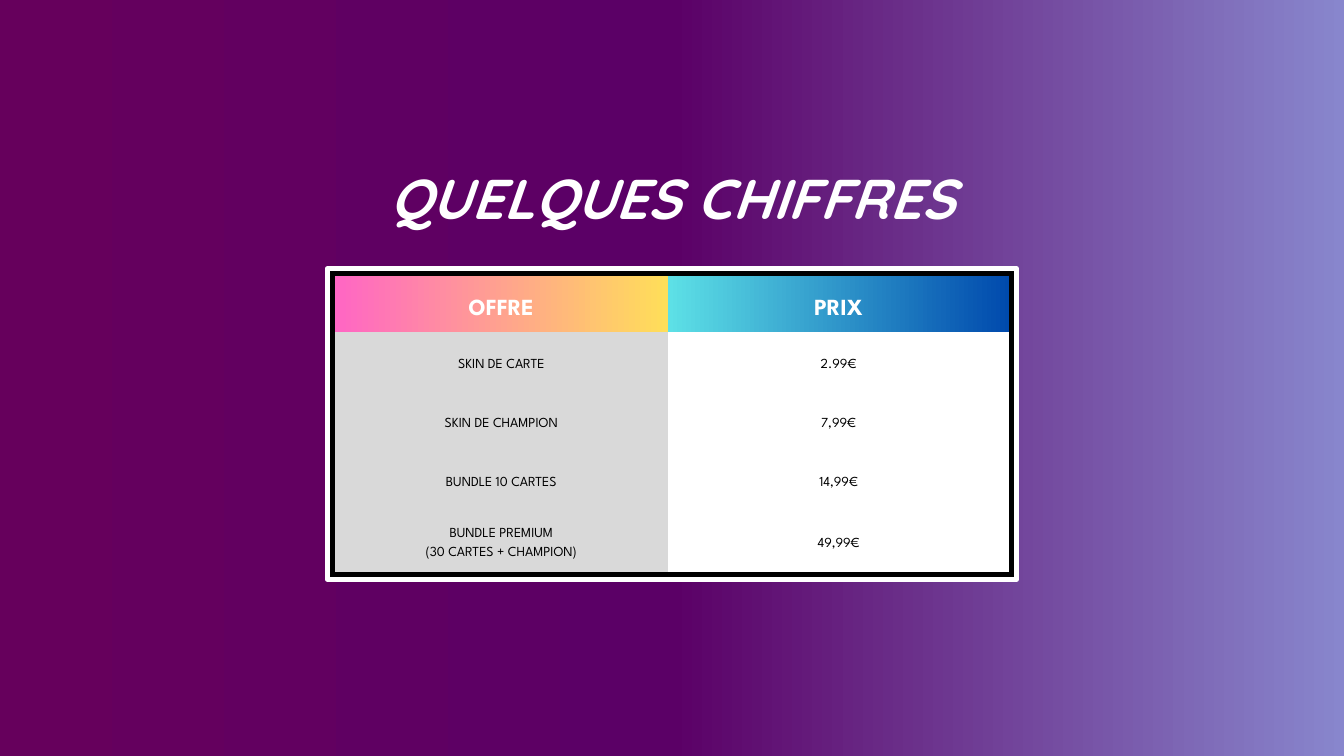
import copy

import pptx
import pptx.dml.color
import pptx.enum.shapes
import pptx.enum.text
import pptx.oxml.ns
import pptx.util

Pt = pptx.util.Pt
CENTER = pptx.enum.text.PP_ALIGN.CENTER

TITLE = "QUELQUES CHIFFRES"
HEADINGS = ("OFFRE", "PRIX")
OFFERS = [
    ("SKIN DE CARTE", "2.99€"),
    ("SKIN DE CHAMPION", "7,99€"),
    ("BUNDLE 10 CARTES", "14,99€"),
    ("BUNDLE PREMIUM\n(30 CARTES + CHAMPION)", "49,99€"),
]

COLORS = {
    "plum": "66005C", "purple": "5B0066", "lavender": "8886CD",
    "pink": "FF66C4", "yellow": "FFDE59", "aqua": "5DE0E6", "blue": "004AAD",
    "grey": "D9D9D9", "white": "FFFFFF", "black": "000000",
}
BACKGROUND = ("plum", "purple", "lavender")
HEADING_FILLS = (("pink", "yellow"), ("aqua", "blue"))
OFFER_FILLS = ("grey", "white")

SLIDE_WIDTH, SLIDE_HEIGHT = 1440, 810
COLUMN_WIDTHS = (357.12, 365.76)
ROW_HEIGHTS = (59.76, 63.36, 63.36, 63.36, 66.96)
TABLE_TOP = 295.92
FRAME_MARGIN = 7.92
CELL_INSET = 10.8


def rgb(name):
    return pptx.dml.color.RGBColor.from_string(COLORS[name])


def fill_gradient(fill, owner, names):
    """Left-to-right gradient with evenly spaced colours; owner is the XML parent."""
    fill.gradient()
    fill.gradient_angle = 0
    stop_list = owner.xpath(".//a:gsLst")[0]
    for _ in names[2:]:
        stop_list.append(copy.deepcopy(stop_list[-1]))
    for index, (stop, name) in enumerate(zip(fill.gradient_stops, names)):
        stop.position = index / (len(names) - 1)
        stop.color.rgb = rgb(name)


def write(text_frame, text, family, size, spacing, color, bold=False, italic=False):
    text_frame.text = text
    text_frame.word_wrap = True
    for paragraph in text_frame.paragraphs:
        paragraph.alignment = CENTER
        paragraph.line_spacing = Pt(spacing)
        font = paragraph.font
        font.name, font.size = family, Pt(size)
        font.bold, font.italic = bold, italic
        font.color.rgb = rgb(color)


def remove_borders(cell):
    properties = cell._tc.get_or_add_tcPr()
    for index, side in enumerate(("a:lnL", "a:lnR", "a:lnT", "a:lnB")):
        border = properties.makeelement(pptx.oxml.ns.qn(side), {"w": "0"})
        border.append(border.makeelement(pptx.oxml.ns.qn("a:noFill"), {}))
        properties.insert(index, border)


def add_frame(slide, left, top, width, height):
    frame = slide.shapes.add_shape(
        pptx.enum.shapes.MSO_SHAPE.RECTANGLE,
        Pt(left - FRAME_MARGIN), Pt(top - FRAME_MARGIN),
        Pt(width + 2 * FRAME_MARGIN), Pt(height + 2 * FRAME_MARGIN))
    frame.shadow.inherit = False
    frame.fill.solid()
    frame.fill.fore_color.rgb = rgb("black")
    frame.line.color.rgb = rgb("white")
    frame.line.width = Pt(5.25)


def add_price_table(slide, left, top, width, height):
    rows = [HEADINGS, *OFFERS]
    prices = slide.shapes.add_table(
        len(rows), len(HEADINGS), Pt(left), Pt(top), Pt(width), Pt(height)).table
    prices.first_row = prices.horz_banding = False
    for column, column_width in zip(prices.columns, COLUMN_WIDTHS):
        column.width = Pt(column_width)
    for row, row_height in zip(prices.rows, ROW_HEIGHTS):
        row.height = Pt(row_height)

    for r, row in enumerate(rows):
        for c, text in enumerate(row):
            cell = prices.cell(r, c)
            cell.vertical_anchor = pptx.enum.text.MSO_ANCHOR.MIDDLE
            cell.margin_left = cell.margin_right = Pt(CELL_INSET)
            cell.margin_top = cell.margin_bottom = Pt(CELL_INSET)
            if r == 0:
                write(cell.text_frame, text, "League Spartan", 24.7, 34.6, "white", bold=True)
                fill_gradient(cell.fill, cell._tc, HEADING_FILLS[c])
            else:
                write(cell.text_frame, text, "League Spartan", 14.8, 20.8, "black")
                cell.fill.solid()
                cell.fill.fore_color.rgb = rgb(OFFER_FILLS[c])
            remove_borders(cell)


def add_title(slide):
    title = slide.shapes.add_textbox(Pt(190), Pt(163.5), Pt(1060), Pt(83)).text_frame
    title.margin_left = title.margin_right = title.margin_top = title.margin_bottom = 0
    write(title, TITLE, "Quicksand", 60, 84, "white", bold=True, italic=True)


def main():
    presentation = pptx.Presentation()
    presentation.slide_width, presentation.slide_height = Pt(SLIDE_WIDTH), Pt(SLIDE_HEIGHT)
    slide = presentation.slides.add_slide(presentation.slide_layouts[6])
    fill_gradient(slide.background.fill, slide.element, BACKGROUND)

    width, height = sum(COLUMN_WIDTHS), sum(ROW_HEIGHTS)
    area = ((SLIDE_WIDTH - width) / 2, TABLE_TOP, width, height)
    add_frame(slide, *area)
    add_price_table(slide, *area)
    add_title(slide)
    presentation.save("out.pptx")


if __name__ == "__main__":
    main()
